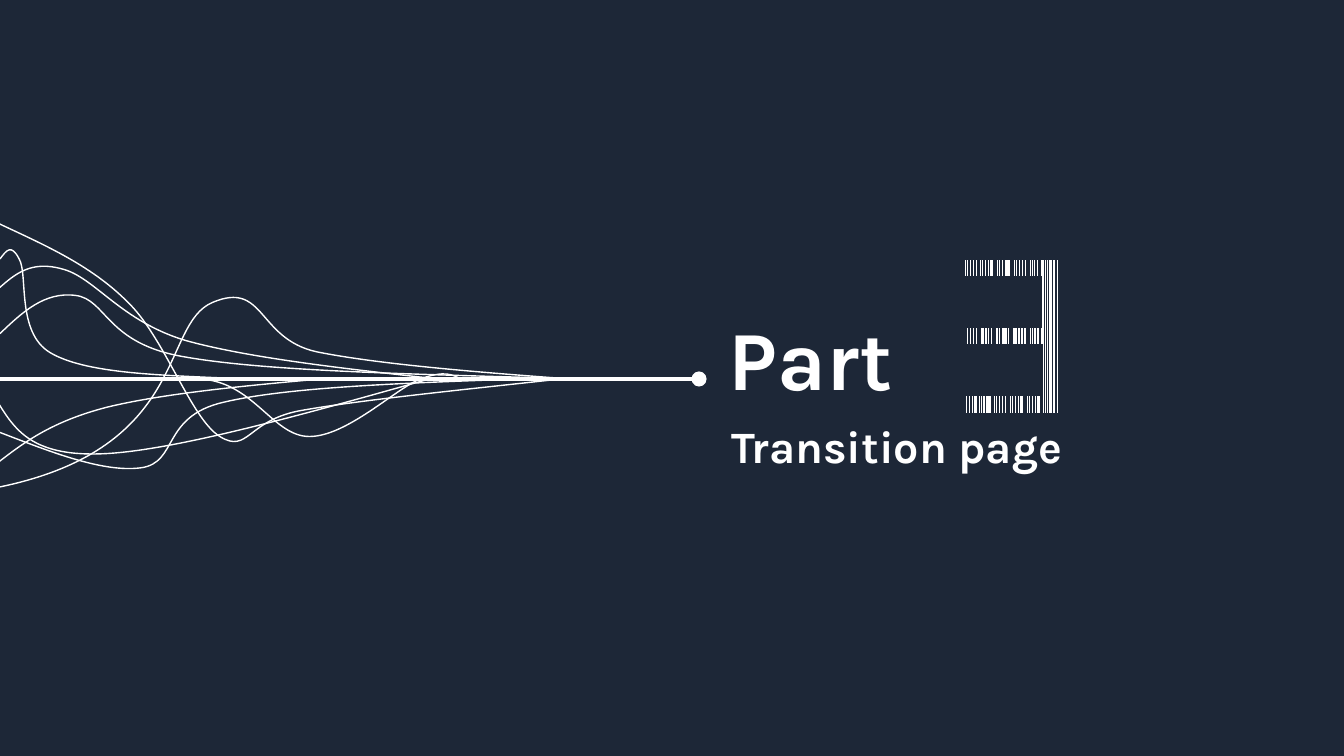
from lxml.etree import SubElement
from pptx import Presentation
from pptx.dml.color import RGBColor
from pptx.enum.shapes import MSO_CONNECTOR as Connector, MSO_SHAPE as Preset
from pptx.enum.text import MSO_AUTO_SIZE as AutoSize
from pptx.oxml.ns import qn
from pptx.util import Pt

COLORS = {"background": "1D2737", "ink": "FFFFFF"}
SLIDE_SIZE = (960, 540)

CURVES = [
    [(329, 270.7), (323.3, 267.8), (318.2, 264.2), (300.2, 270.7),
     (282.2, 277.9), (247.7, 311.8), (221, 311.8),
     (194.4, 311.8), (180.7, 271.4), (141.1, 270.7)],
    [(391.7, 270), (290.2, 267.1), (188.6, 265), (131.8, 254.9),
     (75.6, 245.5), (76.3, 213.8), (54, 211),
     (31.7, 208.1), (15.8, 223.2), (0, 238.3)],
    [(370.8, 270.7), (288, 273.6), (205.2, 276.5), (159.8, 287.3),
     (115.2, 297.4), (127.4, 330.5), (100.8, 334.1),
     (74.2, 337.7), (37.4, 323.3), (0, 308.9)],
    [(406.8, 270.7), (337.7, 265.7), (268.6, 259.9), (226.1, 251.3),
     (183.6, 241.9), (189.4, 200.2), (151.9, 216),
     (114.5, 231.8), (135.4, 319.7), (0, 347.8)],
    [(401, 270.7), (329, 278.6), (257.8, 285.8), (216.7, 293),
     (176.4, 299.5), (177.8, 324.7), (157, 311.8),
     (136.1, 298.8), (117.4, 240.5), (90.7, 215.3),
     (64.8, 189.4), (31.7, 175), (-0.7, 159.8)],
    [(326.2, 272.2), (252.7, 264.2), (180, 256.3), (133.2, 243.4),
     (86.4, 229.7), (67.7, 198), (44.6, 192.2),
     (22.3, 185.8), (10.8, 195.8), (-0.7, 205.9)],
    [(306.7, 270.7), (217.4, 295.9), (127.4, 321.1), (76.3, 324),
     (24.5, 326.9), (11.5, 308.2), (-0.7, 288.7)],
    [(159.8, 270), (110.2, 267.8), (60.5, 266.4), (36, 252),
     (11.5, 237.6), (20.2, 195.8), (13.7, 185),
     (7.9, 173.5), (4.3, 179.3), (0, 185)],
    [(-0.7, 329.8), (18, 315.4), (37.4, 301), (76.3, 290.9),
     (114.5, 281.5), (171.4, 275.8), (229, 270.7)],
]
CURVE_WEIGHT = 1

TRUNK = {"start": -7.9, "end": 499.7, "y": 270.7, "weight": 2.25}
DOT_SIZE = 10.8
DOT_CENTER = 499.3

TITLE = ("Part", (513.4, 215.3, 154.8, 79.9), 60)
SUBTITLE = ("Transition page", (515.5, 295.2, 267.8, 46.1), 32)
FONT = {"name": "Karla", "bold": True}

DIGIT_LEFT = 689.76
BAR_UNIT = 0.72
TOP, MIDDLE, BOTTOM = 185.8, 234.5, 283.2
BAR_HEIGHT = 11.5
THIN, THICK, THICKEST = 0.5, 2.25, 3
STEM = [77, 79, 81, 87, 88, 91]
STEM_CORE = 84

BARCODE_BANDS = [
    (TOP, TOP + BAR_HEIGHT, {
        THIN: [0, 2, 5, 8, 11, 15, 17, 20, 23, 31, 33, 36, 39, 48, 50, 53,
               56, 59, 64, 66, 68, 71, 75],
        THICK: [26, 42]}),
    (TOP, MIDDLE, {THIN: [76] + STEM, THICK: [STEM_CORE]}),
    (MIDDLE, MIDDLE + BAR_HEIGHT, {
        THIN: [2, 5, 8, 11, 16, 17, 18, 20, 21, 23, 26, 30, 31, 33, 36, 42,
               47, 48, 49, 50, 52, 53, 55, 56, 58, 59, 64, 66, 68, 69, 71,
               72, 75, 76] + STEM,
        THICK: [STEM_CORE],
        THICKEST: [39]}),
    (MIDDLE, BOTTOM, {THIN: STEM, THICK: [STEM_CORE]}),
    (BOTTOM, BOTTOM + BAR_HEIGHT, {
        THIN: [1, 4, 7, 14, 16, 18, 19, 21, 22, 28, 30, 33, 36, 39, 44, 46,
               49, 52, 61, 63, 66, 69] + STEM,
        THICK: [10, 24, 55, 72, STEM_CORE]}),
]


def color(name):
    return RGBColor.from_string(COLORS[name])


def style_line(shape, weight):
    shape.line.color.rgb = color("ink")
    shape.line.width = Pt(weight)


def add_curve(shapes, points):
    anchors = [(Pt(x), Pt(y)) for x, y in points[::3]]
    builder = shapes.build_freeform(*anchors[0], scale=1.0)
    builder.add_line_segments(anchors[1:], close=False)
    shape = builder.convert_to_shape()
    shape.shadow.inherit = False
    shape.fill.background()
    style_line(shape, CURVE_WEIGHT)
    outline = next(shape._element.iter(qn("a:path")))
    for segment in outline.findall(qn("a:lnTo")):
        outline.remove(segment)
    for index in range(1, len(points), 3):
        bezier = SubElement(outline, qn("a:cubicBezTo"))
        for x, y in points[index:index + 3]:
            SubElement(bezier, qn("a:pt"), x=str(Pt(x) - shape.left),
                       y=str(Pt(y) - shape.top))


def add_line(shapes, x1, y1, x2, y2, weight):
    line = shapes.add_connector(Connector.STRAIGHT, Pt(x1), Pt(y1), Pt(x2), Pt(y2))
    style_line(line, weight)
    SubElement(line._element.spPr, qn("a:effectLst"))


def add_text(shapes, text, box, size):
    frame = shapes.add_textbox(*map(Pt, box)).text_frame
    frame.word_wrap = True
    frame.auto_size = AutoSize.SHAPE_TO_FIT_TEXT
    paragraph = frame.paragraphs[0]
    paragraph.text = text
    font = paragraph.runs[0].font
    for attribute, value in {**FONT, "size": Pt(size)}.items():
        setattr(font, attribute, value)
    font.color.rgb = color("ink")


def add_trunk(shapes):
    y = TRUNK["y"]
    add_line(shapes, TRUNK["start"], y, TRUNK["end"], y, TRUNK["weight"])
    radius = DOT_SIZE / 2
    dot = shapes.add_shape(Preset.OVAL, Pt(DOT_CENTER - radius), Pt(y - radius),
                           Pt(DOT_SIZE), Pt(DOT_SIZE))
    dot.shadow.inherit = False
    dot.fill.solid()
    dot.fill.fore_color.rgb = color("ink")
    dot.line.fill.background()


def add_barcode_digit(shapes):
    for top, bottom, bars in BARCODE_BANDS:
        for weight, offsets in bars.items():
            for offset in offsets:
                x = DIGIT_LEFT + offset * BAR_UNIT
                add_line(shapes, x, top, x, bottom, weight)


def main():
    presentation = Presentation()
    presentation.slide_width, presentation.slide_height = map(Pt, SLIDE_SIZE)
    slide = presentation.slides.add_slide(presentation.slide_layouts[6])
    slide.background.fill.solid()
    slide.background.fill.fore_color.rgb = color("background")
    for points in CURVES:
        add_curve(slide.shapes, points)
    add_trunk(slide.shapes.add_group_shape().shapes)
    add_text(slide.shapes, *SUBTITLE)
    heading = slide.shapes.add_group_shape().shapes
    add_text(heading, *TITLE)
    add_barcode_digit(heading)
    presentation.save("out.pptx")


if __name__ == "__main__":
    main()
